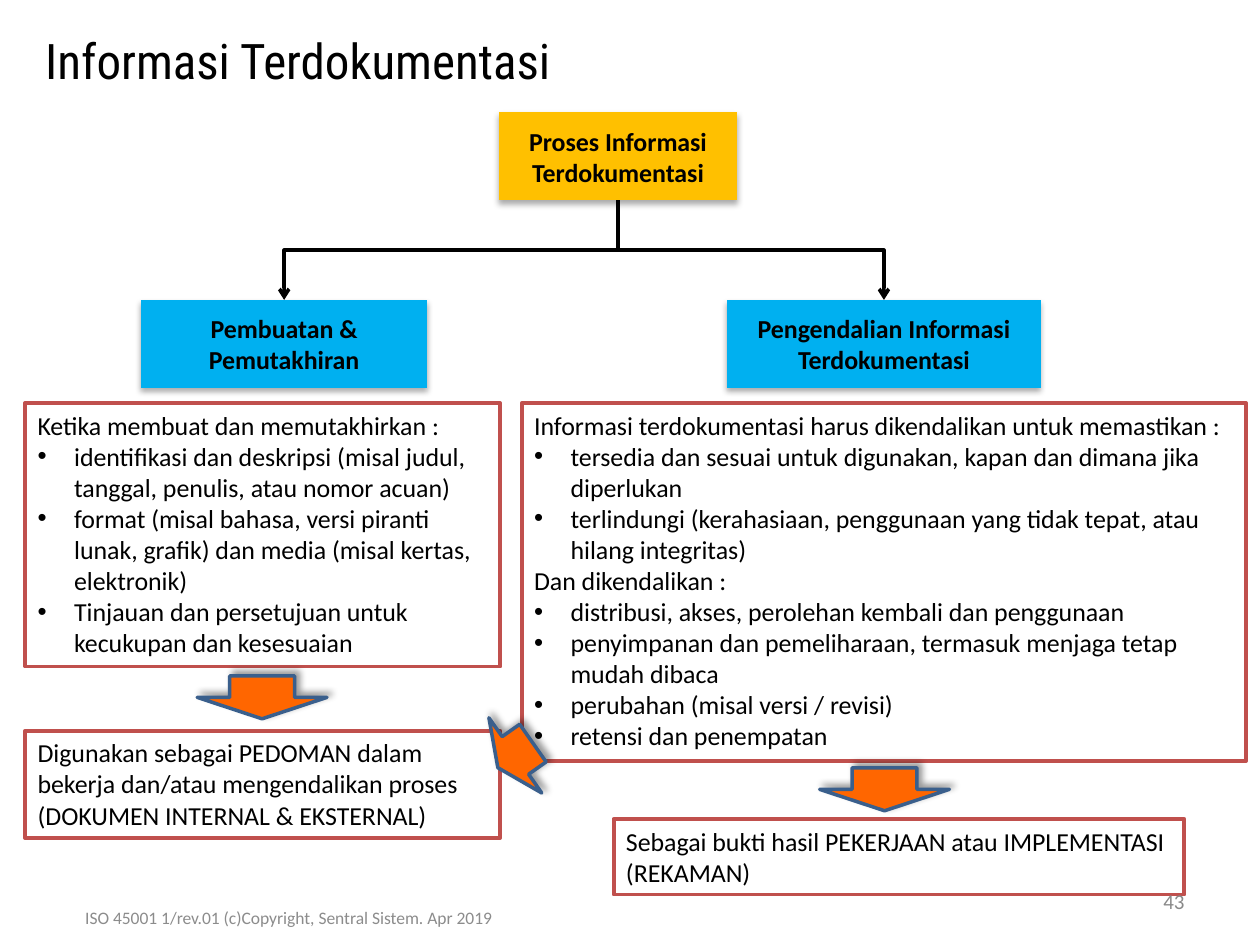
from lxml.etree import SubElement
from pptx import Presentation
from pptx.dml.color import RGBColor
from pptx.enum.shapes import MSO_CONNECTOR, MSO_SHAPE
from pptx.enum.text import MSO_ANCHOR, MSO_AUTO_SIZE, PP_ALIGN
from pptx.oxml.ns import qn
from pptx.util import Inches, Pt

BLACK = "000000"
PROCESSES = [
    ("Proses Informasi Terdokumentasi", "FFC000", (3.96, 0.89, 1.89, 0.7)),
    ("Pembuatan & Pemutakhiran", "00B0F0", (1.12, 2.38, 2.27, 0.7)),
    ("Pengendalian Informasi Terdokumentasi", "00B0F0", (5.77, 2.38, 2.49, 0.7)),
]
NOTES = [
    ((0.2, 3.2, 3.77, 2.09), [
        "Ketika membuat dan memutakhirkan :",
        ["identifikasi dan deskripsi (misal judul, tanggal, penulis, atau nomor acuan)",
         "format (misal bahasa, versi piranti lunak, grafik) dan media (misal kertas, elektronik)",
         "Tinjauan dan persetujuan untuk kecukupan dan kesesuaian"],
    ]),
    ((0.2, 5.8, 3.77, 0.85), [
        "Digunakan sebagai PEDOMAN dalam bekerja dan/atau mengendalikan proses",
        "(DOKUMEN INTERNAL & EKSTERNAL)",
    ]),
    ((4.14, 3.2, 5.75, 2.84), [
        "Informasi terdokumentasi harus dikendalikan untuk memastikan :",
        ["tersedia dan sesuai untuk digunakan, kapan dan dimana jika diperlukan",
         "terlindungi (kerahasiaan, penggunaan yang tidak tepat, atau hilang integritas)"],
        "Dan dikendalikan :",
        ["distribusi, akses, perolehan kembali dan penggunaan",
         "penyimpanan dan pemeliharaan, termasuk menjaga tetap mudah dibaca",
         "perubahan (misal versi / revisi)",
         "retensi dan penempatan"],
    ]),
    ((4.87, 6.5, 4.53, 0.6), [
        "Sebagai bukti hasil PEKERJAAN atau IMPLEMENTASI (REKAMAN)",
    ]),
]
ARROWS = [
    ((1.91, 5.02, 0.34, 1.03), 90),
    ((6.85, 5.75, 0.34, 1.03), 90),
    ((3.92, 5.63, 0.34, 0.73), 144.9),
]
LABELS = [
    ("Informasi Terdokumentasi", (0.26, 0.19, 7.91, 0.57),
     dict(size=28, font="Roboto Condensed")),
    ("43", (7.17, 6.95, 2.33, 0.4),
     dict(size=12, color="898989", align=PP_ALIGN.RIGHT, anchor=MSO_ANCHOR.MIDDLE)),
    ("ISO 45001 1/rev.01 (c)Copyright, Sentral Sistem. Apr 2019", (-0.19, 7.08, 4.96, 0.4),
     dict(size=10, color="8C8C8C", align=PP_ALIGN.CENTER, anchor=MSO_ANCHOR.MIDDLE)),
]


def rgb(value):
    return RGBColor.from_string(value)


def write(sp, content, size=14.8, font="Calibri", color=BLACK, bold=False,
          align=PP_ALIGN.LEFT, anchor=MSO_ANCHOR.TOP, grow=False):
    tf = sp.text_frame
    tf.word_wrap = True
    tf.vertical_anchor = anchor
    if grow:
        tf.auto_size = MSO_AUTO_SIZE.SHAPE_TO_FIT_TEXT
    lines = []
    for item in content:
        if isinstance(item, list):
            lines += [(text, True) for text in item]
        else:
            lines.append((item, False))
    for i, (text, bulleted) in enumerate(lines):
        p = tf.add_paragraph() if i else tf.paragraphs[0]
        p.alignment = align
        if bulleted:
            pPr = p._p.get_or_add_pPr()
            pPr.set("marL", str(Inches(0.29)))
            pPr.set("indent", str(Inches(-0.29)))
            SubElement(pPr, qn("a:buFont"), typeface="Arial")
            SubElement(pPr, qn("a:buChar"), char="•")
        r = p.add_run()
        r.text = text
        r.font.size, r.font.name, r.font.bold = Pt(size), font, bold
        r.font.color.rgb = rgb(color)


def add_box(s, kind, at, fill=None, line=None, width=2, shadow=None):
    sp = s.shapes.add_shape(kind, *map(Inches, at))
    sp.shadow.inherit = False
    if fill:
        sp.fill.solid()
        sp.fill.fore_color.rgb = rgb(fill)
    else:
        sp.fill.background()
    if line:
        sp.line.color.rgb = rgb(line)
        sp.line.width = Pt(width)
    else:
        sp.line.fill.background()
    if shadow:
        alpha, blur, dist, angle = shadow
        effects = sp._element.spPr.find(qn("a:effectLst"))
        outer = SubElement(effects, qn("a:outerShdw"), blurRad=str(Pt(blur)),
                           dist=str(Pt(dist)), dir=str(angle * 60000), rotWithShape="0")
        clr = SubElement(outer, qn("a:srgbClr"), val=BLACK)
        SubElement(clr, qn("a:alpha"), val=str(alpha * 1000))
    return sp


def add_branch(s, parent, child):
    x1, y1 = parent[0] + parent[2] / 2, parent[1] + parent[3]
    x2, y2 = child[0] + child[2] / 2, child[1]
    cx, cy = (x1 + x2) / 2, (y1 + y2) / 2
    side = 1 if x2 < x1 else -1
    dx, dy = side * (y2 - y1) / 2, abs(x2 - x1) / 2
    c = s.shapes.add_connector(MSO_CONNECTOR.ELBOW,
                               *map(Inches, (cx - dx, cy - dy, cx + dx, cy + dy)))
    c.line.color.rgb = rgb(BLACK)
    c.line.width = Pt(2)
    spPr = c._element.spPr
    spPr.find(qn("a:xfrm")).set("rot", str((90 if side > 0 else 270) * 60000))
    SubElement(spPr.find(qn("a:ln")), qn("a:tailEnd"), type="arrow")
    SubElement(spPr, qn("a:effectLst"))


def main():
    prs = Presentation()
    prs.slide_width, prs.slide_height = Inches(10), Inches(7.5)
    s = prs.slides.add_slide(prs.slide_layouts[6])
    for text, fill, at in PROCESSES:
        sp = add_box(s, MSO_SHAPE.FLOWCHART_PROCESS, at, fill=fill, shadow=(32, 3.5, 2.2, 90))
        write(sp, [text], bold=True, align=PP_ALIGN.CENTER, anchor=MSO_ANCHOR.MIDDLE)
    root, *children = [at for _, _, at in PROCESSES]
    for child in children:
        add_branch(s, root, child)
    for at, content in NOTES:
        sp = add_box(s, MSO_SHAPE.RECTANGLE, at, line="C0504D", width=2.25)
        write(sp, content, grow=True)
    for at, angle in ARROWS:
        sp = add_box(s, MSO_SHAPE.RIGHT_ARROW, at, fill="FF6600", line="3A5F8C",
                     shadow=(40, 4, 3, 315))
        sp.rotation = angle
    for text, at, style in LABELS:
        write(s.shapes.add_textbox(*map(Inches, at)), [text], **style)
    prs.save("out.pptx")


if __name__ == "__main__":
    main()
